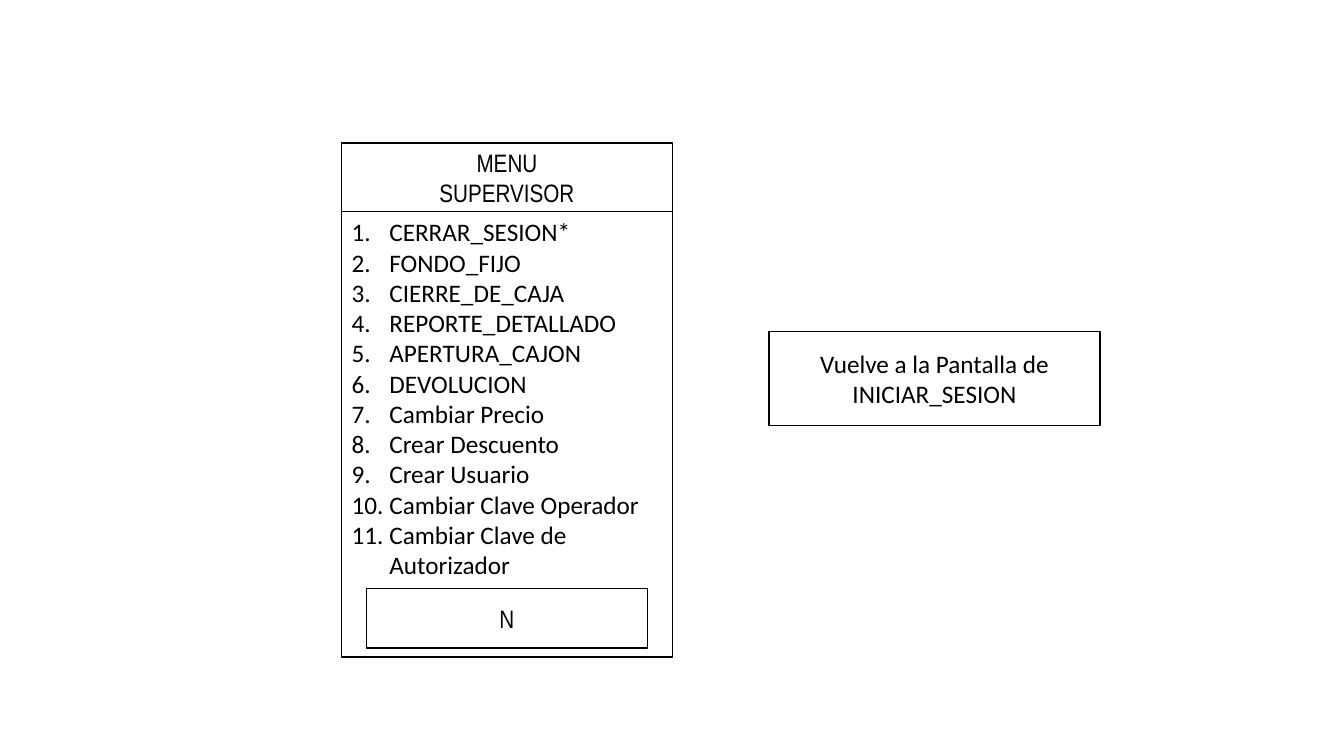
from dataclasses import dataclass

from lxml import etree
from pptx import Presentation
from pptx.dml.color import RGBColor
from pptx.enum import shapes, text
from pptx.oxml import ns
from pptx.shapes.autoshape import Shape
from pptx.util import Pt


@dataclass(frozen=True)
class Theme:
    ink: RGBColor = RGBColor(0, 0, 0)
    paper: RGBColor = RGBColor(255, 255, 255)
    body_font: str = "Calibri"
    label_font: str = "Arial Narrow"
    text_size: float = 18
    line_width: float = 1
    list_indent: float = 27


@dataclass(frozen=True)
class Box:
    left: float
    top: float
    width: float
    height: float
    lines: tuple[str, ...]
    font: str
    numbered: bool = False


THEME = Theme()

# Menu window: the header sits directly on the option list
MENU_LEFT, MENU_TOP, MENU_WIDTH = 244, 102.2, 236.2
HEADER_HEIGHT = 49
FIELD_WIDTH = 200.9

OPTIONS = Box(
    MENU_LEFT, MENU_TOP + HEADER_HEIGHT, MENU_WIDTH, 318.2,
    (
        "CERRAR_SESION*",
        "FONDO_FIJO",
        "CIERRE_DE_CAJA",
        "REPORTE_DETALLADO",
        "APERTURA_CAJON",
        "DEVOLUCION",
        "Cambiar Precio",
        "Crear Descuento",
        "Crear Usuario",
        "Cambiar Clave Operador",
        "Cambiar Clave de Autorizador",
    ),
    THEME.body_font, numbered=True,
)
HEADER = Box(MENU_LEFT, MENU_TOP, MENU_WIDTH, HEADER_HEIGHT,
             ("MENU", "SUPERVISOR"), THEME.label_font)
INPUT_FIELD = Box(MENU_LEFT + (MENU_WIDTH - FIELD_WIDTH) / 2, 420.5,
                  FIELD_WIDTH, 42.5, ("N",), THEME.label_font)
RETURN_NOTE = Box(549.4, 236.9, MENU_WIDTH, 67,
                  ("Vuelve a la Pantalla de INICIAR_SESION",), THEME.body_font)


def number_paragraph(paragraph) -> None:
    """Give a paragraph automatic numbering with a hanging indent."""
    properties = paragraph._p.get_or_add_pPr()
    indent = Pt(THEME.list_indent)
    properties.set("marL", str(indent))
    properties.set("indent", str(-indent))
    etree.SubElement(properties, ns.qn("a:buFont"), typeface="+mj-lt")
    etree.SubElement(properties, ns.qn("a:buAutoNum"), type="arabicPeriod")


def write_lines(shape: Shape, box: Box) -> None:
    frame = shape.text_frame
    frame.word_wrap = True
    frame.vertical_anchor = (
        text.MSO_ANCHOR.TOP if box.numbered else text.MSO_ANCHOR.MIDDLE)
    frame.text = "\n".join(box.lines)
    font_format = {"name": box.font, "size": Pt(THEME.text_size)}
    for paragraph in frame.paragraphs:
        paragraph.alignment = (
            text.PP_ALIGN.LEFT if box.numbered else text.PP_ALIGN.CENTER)
        if box.numbered:
            number_paragraph(paragraph)
        for font in (paragraph.font, paragraph.runs[0].font):
            for name, value in font_format.items():
                setattr(font, name, value)
            font.color.rgb = THEME.ink


def draw_box(parent, box: Box) -> Shape:
    """Add an outlined rectangle to a slide's or a group's shapes."""
    shape = parent.add_shape(
        shapes.MSO_SHAPE.RECTANGLE,
        Pt(box.left), Pt(box.top), Pt(box.width), Pt(box.height))
    shape.shadow.inherit = False
    shape.fill.solid()
    shape.fill.fore_color.rgb = THEME.paper
    shape.line.color.rgb = THEME.ink
    shape.line.width = Pt(THEME.line_width)
    write_lines(shape, box)
    return shape


def main() -> None:
    presentation = Presentation()
    presentation.slide_width, presentation.slide_height = Pt(960), Pt(540)
    slide = presentation.slides.add_slide(presentation.slide_layouts[6])

    # Supervisor menu, kept together as one group
    menu = slide.shapes.add_group_shape()
    for box in (OPTIONS, HEADER, INPUT_FIELD):
        draw_box(menu.shapes, box)

    # Outcome of closing the session
    draw_box(slide.shapes, RETURN_NOTE)

    presentation.save("out.pptx")


if __name__ == "__main__":
    main()
